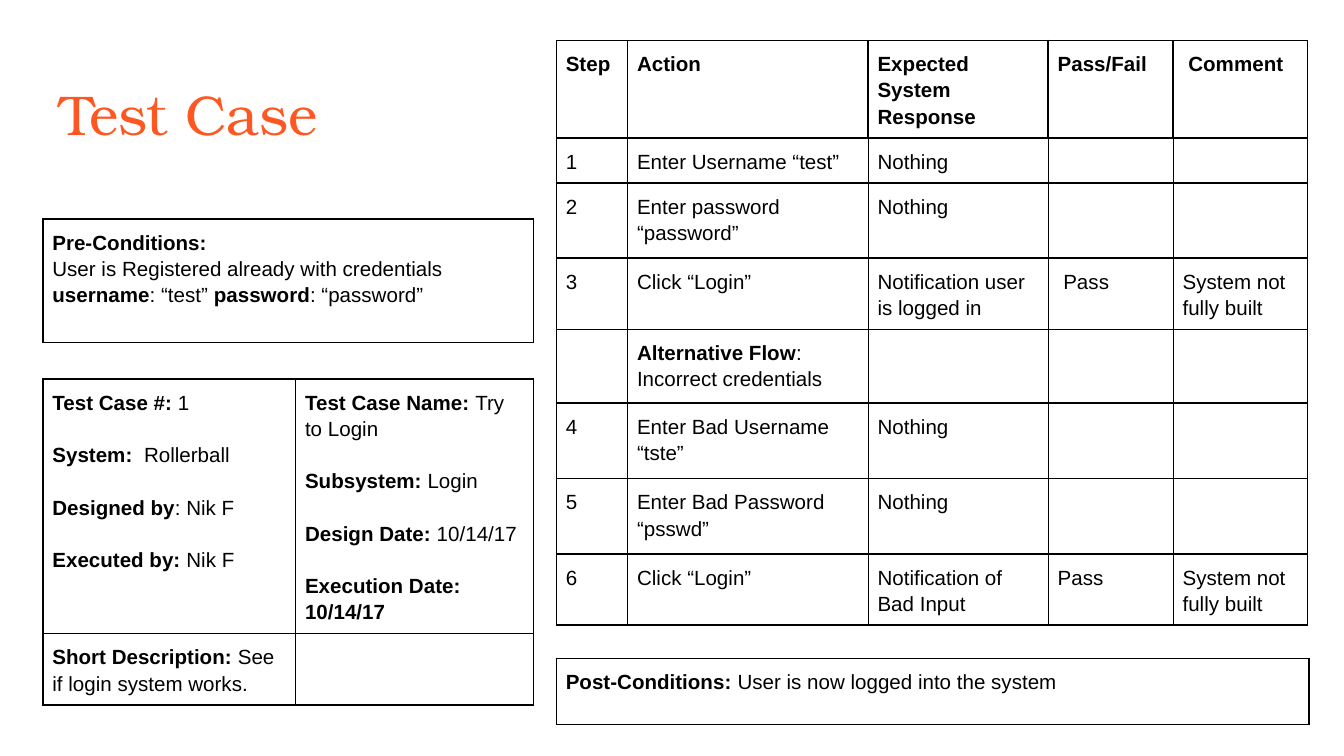
from lxml import etree
from pptx import Presentation
from pptx.dml.color import RGBColor
from pptx.enum.text import MSO_ANCHOR as Anchor, MSO_AUTO_SIZE as AutoSize, PP_ALIGN as Align
from pptx.oxml.ns import qn
from pptx.util import Inches, Pt

BLACK = RGBColor(0x00, 0x00, 0x00)
ORANGE = RGBColor(0xFF, 0x57, 0x22)
THICK, THIN = 1, 0.75


class TestCaseSlide:
    title_font = "TeX Gyre Bonum"
    body_font = "Arial"
    body_size = Pt(11)
    line_spacing = 1.15
    margin = Inches(0.07)
    paragraph_gap = Pt(14)

    def __init__(self, presentation):
        self.slide = presentation.slides.add_slide(presentation.slide_layouts[5])

    def title(self, text, left, top, width, height):
        shape = self.slide.shapes.title
        shape.left, shape.top = Inches(left), Inches(top)
        shape.width, shape.height = Inches(width), Inches(height)
        frame = shape.text_frame
        frame.text = text
        frame.auto_size = AutoSize.NONE
        frame.vertical_anchor = Anchor.TOP
        frame.margin_left = frame.margin_right = Inches(0.1)
        frame.margin_top = frame.margin_bottom = Inches(0.1)
        paragraph = frame.paragraphs[0]
        paragraph.alignment = Align.LEFT
        font = paragraph.runs[0].font
        font.name, font.size, font.color.rgb = self.title_font, Pt(30), ORANGE

    def table(self, left, top, widths, heights, rows, gap=Pt(0), inner=THICK):
        frame = self.slide.shapes.add_table(
            len(rows), len(widths), Inches(left), Inches(top),
            Inches(sum(widths)), Inches(sum(heights)))
        table = frame.table
        table.first_row = table.horz_banding = False
        for column, width in zip(table.columns, widths):
            column.width = Inches(width)
        for row, height in zip(table.rows, heights):
            row.height = Inches(height)
        last = len(widths) - 1
        for r, texts in enumerate(rows):
            for c, text in enumerate(texts):
                cell = table.cell(r, c)
                self.fill_cell(cell, text, gap)
                # The inner width applies to verticals below the header row
                self.borders(cell,
                             left=inner if r and c > 0 else THICK,
                             right=inner if r and c < last else THICK)

    def fill_cell(self, cell, text, gap):
        cell.fill.background()
        cell.margin_left = cell.margin_right = self.margin
        cell.margin_top = cell.margin_bottom = self.margin
        frame = cell.text_frame
        frame.text = text
        for paragraph in frame.paragraphs:
            paragraph.line_spacing = self.line_spacing
            paragraph.space_after = gap
            self.format_runs(paragraph)
        frame.paragraphs[-1].space_after = Pt(0)

    def format_runs(self, paragraph):
        """Text between a pair of ** marks becomes bold."""
        parts = paragraph.text.split("**")
        paragraph.clear()
        for index, part in enumerate(parts):
            if part:
                run = paragraph.add_run()
                run.text = part
                font = run.font
                font.name, font.size = self.body_font, self.body_size
                font.color.rgb, font.bold = BLACK, index % 2 == 1
        # Empty cells keep the body size too, so rows stay low
        end = paragraph._p.get_or_add_endParaRPr()
        end.set("sz", str(int(self.body_size.pt * 100)))

    def borders(self, cell, left, right):
        properties = cell._tc.get_or_add_tcPr()
        sides = {"lnL": left, "lnR": right, "lnT": THICK, "lnB": THICK}
        for index, (side, width) in enumerate(sides.items()):
            line = etree.Element(qn(f"a:{side}"), w=str(Pt(width)))
            fill = etree.SubElement(line, qn("a:solidFill"))
            etree.SubElement(fill, qn("a:srgbClr"), val=str(BLACK))
            properties.insert(index, line)


def main():
    presentation = Presentation()
    # Widescreen, 16:9
    presentation.slide_width = Inches(10)
    presentation.slide_height = Inches(10 * 9 / 16)
    page = TestCaseSlide(presentation)
    left, right = 0.32, 4.14

    page.title("Test Case", 0.34, 0.49, 9.32, 0.63)

    # Test case details
    page.table(left, 2.82, [1.88, 1.77], [1.89, 0.53], [
        ["**Test Case #: **1\n**System:  **Rollerball\n"
         "**Designed by**: Nik F\n**Executed by: **Nik F",
         "**Test Case Name: **Try to Login\n**Subsystem:** Login\n"
         "**Design Date: **10/14/17\n**Execution Date: 10/14/17**"],
        ["**Short Description: **See if login system works.", ""],
    ], gap=page.paragraph_gap)

    # Pre-conditions
    page.table(left, 1.63, [3.65], [0.92], [
        ["**Pre-Conditions:**\nUser is Registered already with credentials "
         "**username**: “test” **password**: “password”"],
    ])

    # Steps
    page.table(right, 0.3, [0.53, 1.79, 1.34, 0.93, 1],
               [0.72, 0.33, 0.56, 0.53, 0.55, 0.56, 0.56, 0.53], [
        ["**Step**", "**Action**", "**Expected System Response**",
         "**Pass/Fail**", " **Comment**"],
        ["1", "Enter Username “test”", "Nothing", "", ""],
        ["2", "Enter password “password”", "Nothing", "", ""],
        ["3", "Click “Login”", "Notification user is logged in", " Pass",
         "System not fully built"],
        ["", "**Alternative Flow**: Incorrect credentials", "", "", ""],
        ["4", "Enter Bad Username “tste”", "Nothing", "", ""],
        ["5", "Enter Bad Password “psswd”", "Nothing", "", ""],
        ["6", "Click “Login”", "Notification of Bad Input", "Pass",
         "System not fully built"],
    ], inner=THIN)

    # Post-conditions
    page.table(right, 4.9, [5.6], [0.49], [
        ["**Post-Conditions: **User is now logged into the system"],
    ])

    presentation.save("out.pptx")


if __name__ == "__main__":
    main()
